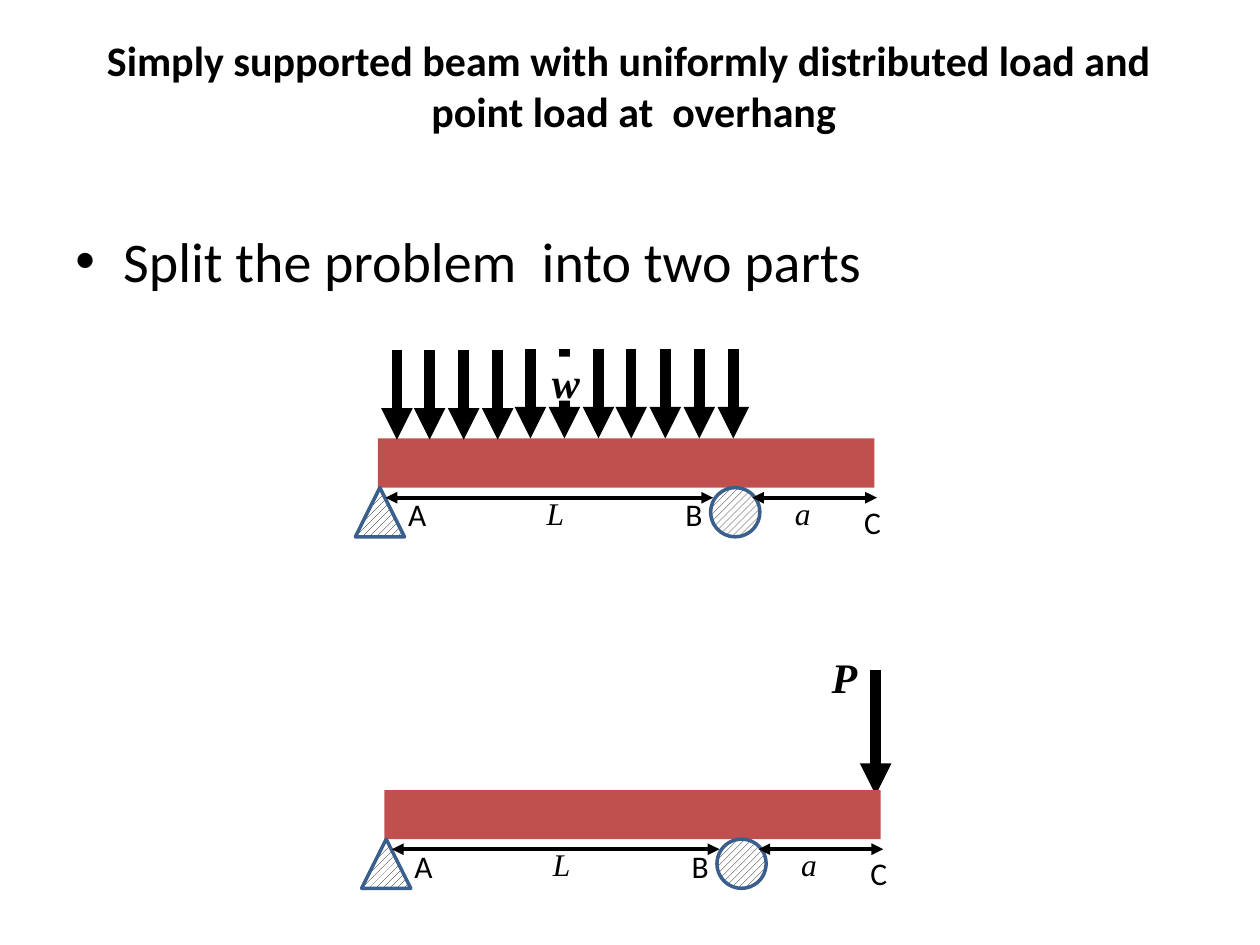
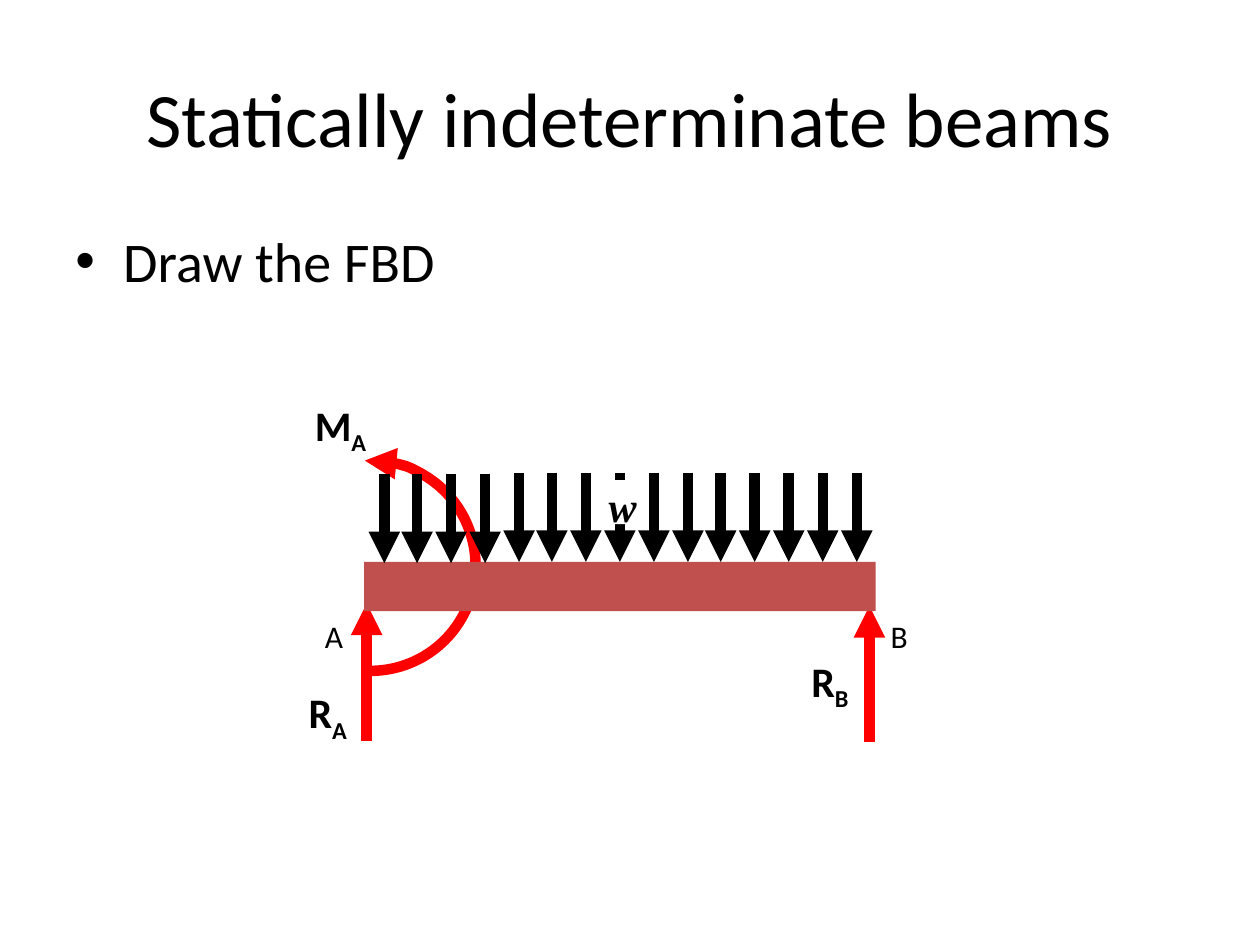
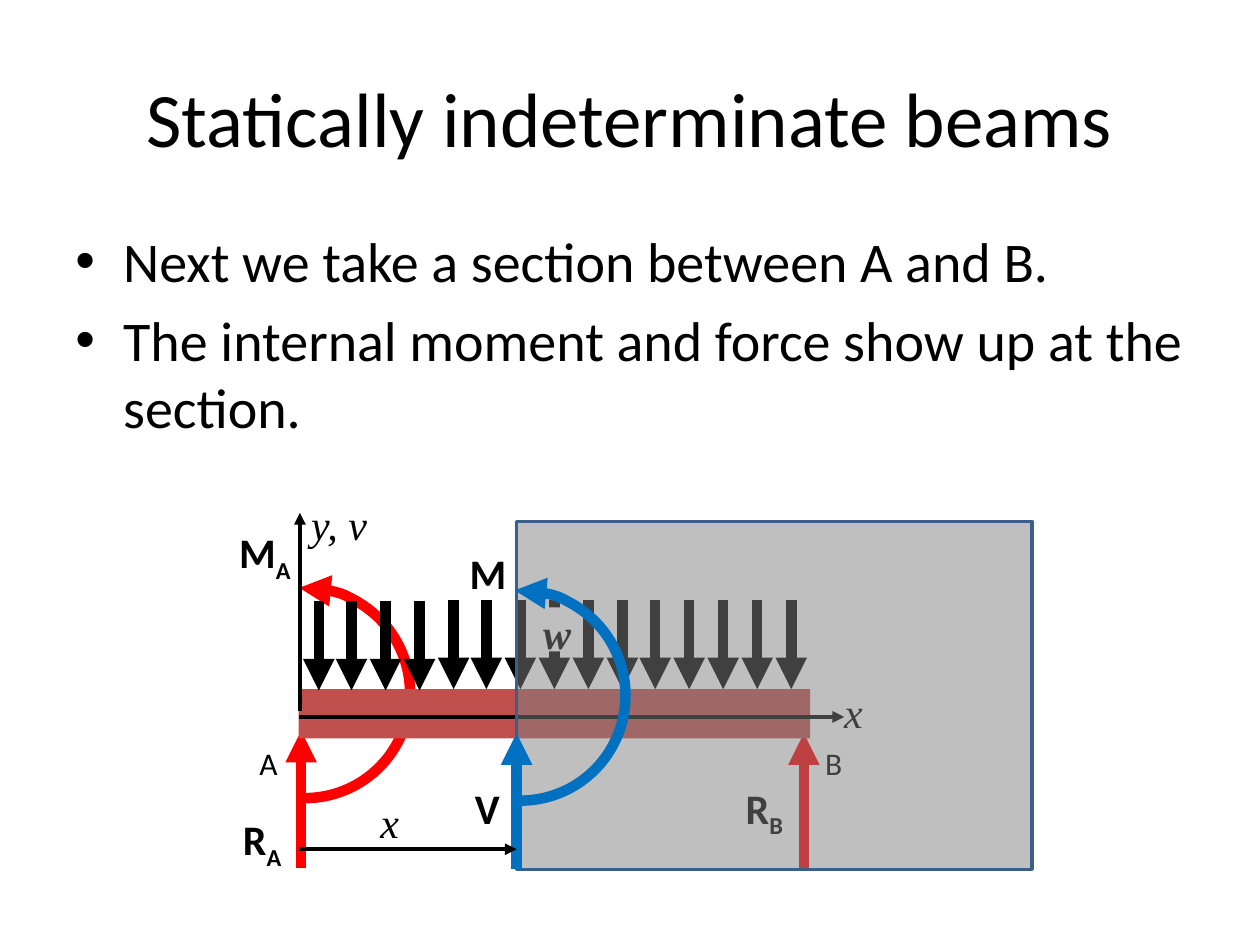
"""Build three slides on overhanging and statically indeterminate beams."""
from lxml import etree
from pptx import Presentation
from pptx.dml.color import RGBColor
from pptx.enum.dml import MSO_PATTERN
from pptx.enum.shapes import MSO_CONNECTOR, MSO_SHAPE
from pptx.enum.text import MSO_ANCHOR, MSO_AUTO_SIZE, PP_ALIGN
from pptx.oxml.ns import qn
from pptx.util import Pt

EMU_PER_PX = 9144
BLACK, WHITE, RED, BLUE = "000000", "FFFFFF", "FF0000", "0070C0"
BEAM, OUTLINE, SHADE = "C0504D", "3A5F8C", "808080"
SANS, SERIF = "Calibri", "Times New Roman"
THICK, THIN, EDGE = 6, 2.25, 2
BULLET_INDENT = 38
ARC_RADIUS = 83.5


def px(length):
    return round(length * EMU_PER_PX)


def color(code):
    return RGBColor.from_string(code)


def arc_adjustment(degrees):
    return degrees * 0.6


class Sketch:
    """Hold the shared style and the current slide, and draw on it."""

    def __init__(self):
        self.deck = Presentation()
        self.deck.slide_width, self.deck.slide_height = px(1000), px(750)
        self.page = None

    def add_page(self, title, width=900, height=125, size=44, bold=False):
        self.page = self.deck.slides.add_slide(self.deck.slide_layouts[5])
        box = self.page.shapes.title
        box.left, box.top, box.width, box.height = map(px, (50, 30, width, height))
        frame = box.text_frame
        frame.text = title
        frame.auto_size = MSO_AUTO_SIZE.NONE
        frame.vertical_anchor = MSO_ANCHOR.MIDDLE
        frame.paragraphs[0].alignment = PP_ALIGN.CENTER
        self.style(frame.paragraphs[0].runs[0], size, bold=bold)

    def style(self, span, size, face=SANS, bold=False, italic=False):
        font = span.font
        font.size, font.name, font.bold, font.italic = Pt(size), face, bold, italic
        font.color.rgb = color(BLACK)

    def bullets(self, *lines):
        box = self.page.shapes.add_textbox(px(50), px(175), px(900), px(495))
        frame = box.text_frame
        frame.word_wrap = True
        frame.text = "\n".join(lines)
        for index, para in enumerate(frame.paragraphs):
            properties = para._p.get_or_add_pPr()
            properties.set("marL", str(px(BULLET_INDENT)))
            properties.set("indent", str(-px(BULLET_INDENT)))
            etree.SubElement(properties, qn("a:buFont")).set("typeface", "Arial")
            etree.SubElement(properties, qn("a:buChar")).set("char", "•")
            if index:
                para.space_before = Pt(6.4)
            self.style(para.runs[0], 32)

    def label(self, text, x, y, subscript="", width=39, height=40, size=18, **look):
        box = self.page.shapes.add_textbox(px(x), px(y), px(width), px(height))
        box.text_frame.word_wrap = True
        para = box.text_frame.paragraphs[0]
        para.text = text
        if subscript:
            para.add_run().text = subscript
            para.runs[1].font._element.set("baseline", "-25000")
        for span in para.runs:
            self.style(span, size, **look)

    def force_label(self, text, x, y, subscript="", width=59):
        self.label(text, x, y, subscript, width, 50, 24, bold=True)

    def variable(self, text, x, y, width=39, size=18):
        self.label(text, x, y, width=width, size=size, face=SERIF, italic=True)

    def shape(self, kind, x, y, width, height, fill=None, line=None, weight=EDGE):
        item = self.page.shapes.add_shape(kind, px(x), px(y), px(width), px(height))
        item.shadow.inherit = False
        if fill:
            item.fill.solid()
            item.fill.fore_color.rgb = color(fill)
        else:
            item.fill.background()
        if line:
            item.line.color.rgb = color(line)
            item.line.width = Pt(weight)
        else:
            item.line.fill.background()
        return item

    def load_tag(self, text, x, y, height=35):
        box = self.shape(MSO_SHAPE.RECTANGLE, x, y, 35, height, WHITE)
        frame = box.text_frame
        frame.margin_left = px(8)
        frame.margin_top = frame.margin_right = frame.margin_bottom = 0
        frame.vertical_anchor = MSO_ANCHOR.TOP
        frame.text = text
        frame.paragraphs[0].alignment = PP_ALIGN.LEFT
        self.style(frame.paragraphs[0].runs[0], 24, SERIF, True, True)

    def support(self, kind, x, y):
        item = self.shape(kind, x, y, 39, 39, line=OUTLINE)
        item.fill.patterned()
        item.fill.pattern = MSO_PATTERN.WIDE_UPWARD_DIAGONAL
        item.fill.fore_color.rgb = color(BLACK)
        item.fill.back_color.rgb = color(WHITE)

    def arrowhead(self, item, end):
        etree.SubElement(item.line._get_or_add_ln(), qn(f"a:{end}")).set("type", "triangle")

    def arrow(self, x1, y1, x2, y2, code=BLACK, weight=THICK, double=False):
        item = self.page.shapes.add_connector(
            MSO_CONNECTOR.STRAIGHT, px(x1), px(y1), px(x2), px(y2))
        item.line.color.rgb = color(code)
        item.line.width = Pt(weight)
        if double:
            self.arrowhead(item, "headEnd")
        self.arrowhead(item, "tailEnd")
        etree.SubElement(item._element.spPr, qn("a:effectLst"))
        return item

    def moment(self, center_x, center_y, code):
        item = self.shape(MSO_SHAPE.ARC, center_x - ARC_RADIUS, center_y - ARC_RADIUS,
                          2 * ARC_RADIUS, 2 * ARC_RADIUS, line=code, weight=THICK)
        item.adjustments[0] = arc_adjustment(267)
        item.adjustments[1] = arc_adjustment(91)
        self.arrowhead(item, "headEnd")

    def beam(self, x, y, width):
        return self.shape(MSO_SHAPE.RECTANGLE, x, y, width, 39, BEAM)

    def loads(self, beam, x, y, count, span):
        middle = beam.left + beam.width // 2
        for index in range(count):
            place = x + index * span // (count - 1)
            drop = 1 if index < 4 else 0
            item = self.arrow(place, y + drop, place, y + 71 + drop)
            if px(place) == middle:
                item.end_connect(beam, 0)

    def shade(self, x, y, width, height):
        item = self.shape(MSO_SHAPE.RECTANGLE, x, y, width, height, SHADE, OUTLINE)
        tint = item.fill._xPr.find(qn("a:solidFill"))[0]
        etree.SubElement(tint, qn("a:alpha")).set("val", "50000")

    def overhang_beam(self, x, y):
        beam = self.beam(x, y, 394)
        self.label("A", x + 14, y + 40)
        self.label("B", x + 234, y + 40)
        self.support(MSO_SHAPE.ISOSCELES_TRIANGLE, x - 18, y + 39)
        self.support(MSO_SHAPE.OVAL, x + 264, y + 39)
        self.label("C", x + 376, y + 46)
        for name, start, end, name_x in (("L", 6, 266, 124), ("a", 297, 396, 321)):
            self.arrow(x + start, y + 47, x + end, y + 47, weight=THIN, double=True)
            self.variable(name, x + name_x, y + 39)
        return beam

    def fixed_beam(self, x, y, moment_label_x):
        self.arrow(x + 2, y + 142, x + 2, y + 33, RED)
        self.moment(x + 5, y + 3, RED)
        self.force_label("R", x - 54, y + 94, "A")
        self.force_label("M", moment_label_x, y - 134, "A", 63)
        self.arrow(x + 401, y + 143, x + 401, y + 35, RED)
        self.force_label("R", x + 345, y + 69, "B")
        beam = self.beam(x, y, 406)
        self.label("A", x - 41, y + 39)
        self.label("B", x + 408, y + 39)
        self.loads(beam, x + 16, y - 71, 15, 375)
        self.load_tag("w", x + 186, y - 65)


def superposition_page(sketch):
    sketch.add_page("Simply supported beam with uniformly distributed load and  "
                    "point load at  overhang", 906, 75, 24, True)
    sketch.bullets("Split the problem  into two parts")
    beam = sketch.overhang_beam(300, 348)
    sketch.loads(beam, 315, 277, 11, 267)
    sketch.load_tag("w", 430, 283)
    sketch.arrow(695, 532, 695, 631)
    sketch.load_tag("P", 652, 517, 40)
    sketch.overhang_beam(305, 627)


def free_body_page(sketch):
    sketch.add_page("Statically indeterminate beams")
    sketch.bullets("Draw the FBD")
    sketch.fixed_beam(289, 446, 240)


def section_page(sketch):
    sketch.add_page("Statically indeterminate beams")
    sketch.bullets("Next we take a section between A and B.",
                   "The internal moment and force show up at the section.")
    sketch.fixed_beam(237, 547, 180)
    sketch.variable("x", 660, 540, size=24)
    sketch.arrow(238, 564, 238, 407, weight=THIN)
    sketch.arrow(237, 569, 670, 569, weight=THIN)
    sketch.variable("y, v", 237, 391, 79, 24)
    sketch.shade(410, 414, 409, 276)
    sketch.arrow(410, 690, 410, 582, BLUE)
    sketch.moment(413, 552, BLUE)
    sketch.force_label("V", 367, 616)
    sketch.force_label("M", 363, 430, width=63)
    sketch.arrow(237, 674, 410, 674, weight=THIN)
    sketch.variable("x", 292, 627, size=24)


def main():
    sketch = Sketch()
    for draw in (superposition_page, free_body_page, section_page):
        draw(sketch)
    sketch.deck.save("out.pptx")


if __name__ == "__main__":
    main()
